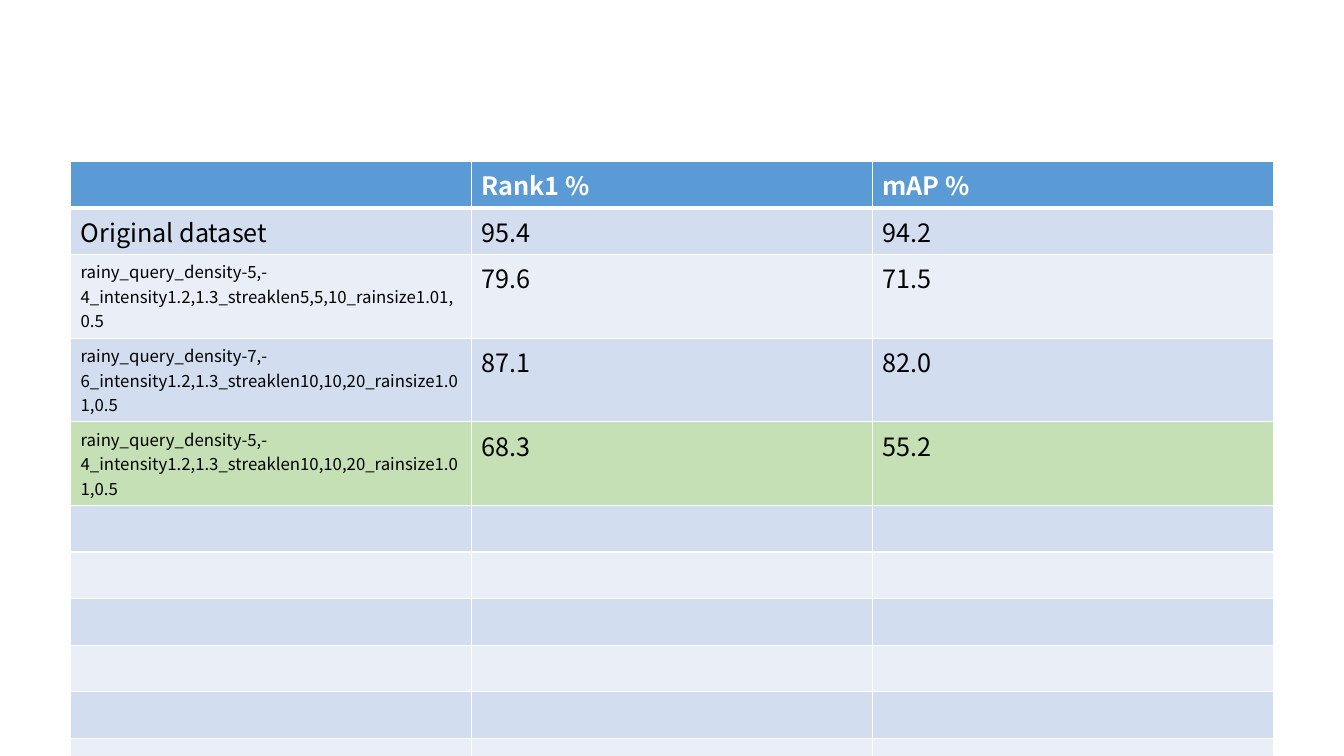
import pptx
import pptx.util
import pptx.dml.color
import pptx.oxml
import pptx.oxml.ns
import lxml.etree as etree
from dataclasses import dataclass

HEAD = ("", "Rank1 %", "mAP %")
BASE = ("Original dataset", "95.4", "94.2")
RUNS = [
    ("rainy_query_density-5,-4_intensity1.2,1.3_streaklen5,5,10_rainsize1.01,0.5", "79.6", "71.5"),
    ("rainy_query_density-7,-6_intensity1.2,1.3_streaklen10,10,20_rainsize1.01,0.5", "87.1", "82.0"),
    ("rainy_query_density-5,-4_intensity1.2,1.3_streaklen10,10,20_rainsize1.01,0.5", "68.3", "55.2"),
]
SPARE = 6
ROWS = [HEAD, BASE, *RUNS, *[("", "", "")] * SPARE]
MARKED = 4


@dataclass(frozen=True)
class Theme:
    font: str = "Noto Sans CJK SC"
    size: int = 18
    small: int = 12
    white: str = "FFFFFF"
    ink: str = "000000"
    head: str = "5B9BD5"
    bands: tuple = ("EAEFF7", "D2DEEF")
    mark: str = "C5E0B4"
    thin: int = 1
    thick: int = 3


THEME = Theme()
WIDE, HIGH = 13.33, 7.5
LEFT, TOP, SPAN = 0.7, 1.6, 11.93
LINE, TALL, LAST = 0.46, 0.83, 0.51
inch = pptx.util.Inches
qn = pptx.oxml.ns.qn


def rgb(tone):
    return pptx.dml.color.RGBColor.from_string(tone)


def tone(row):
    if row == 0:
        return THEME.head
    return THEME.mark if row == MARKED else THEME.bands[row % 2]


def depth(row):
    if row == len(ROWS) - 1:
        return LAST
    return TALL if ROWS[row] in RUNS else LINE


def edge(cell, row):
    """Rule the cell on four sides, with a heavy line under the header."""
    props = cell._tc.get_or_add_tcPr()
    for side in "LRTB":
        heavy = (row, side) in ((0, "B"), (1, "T"))
        width = pptx.util.Pt(THEME.thick if heavy else THEME.thin)
        line = etree.SubElement(props, qn(f"a:ln{side}"), w=str(int(width)))
        fill = etree.SubElement(line, qn("a:solidFill"))
        etree.SubElement(fill, qn("a:srgbClr"), val=THEME.white)


def write(cell, text, row, col):
    para = cell.text_frame.paragraphs[0]
    if not text:
        end = etree.SubElement(para._p, qn("a:endParaRPr"), sz=str(THEME.size * 100))
        etree.SubElement(end, qn("a:latin"), typeface=THEME.font)
        return
    run = para.add_run()
    run.text = text
    small = col == 0 and ROWS[row] in RUNS
    look = {
        "name": THEME.font,
        "size": pptx.util.Pt(THEME.small if small else THEME.size),
        "bold": row == 0,
    }
    for key, value in look.items():
        setattr(run.font, key, value)
    run.font.color.rgb = rgb(THEME.ink if row else THEME.white)


def main():
    deck = pptx.Presentation()
    deck.slide_width, deck.slide_height = inch(WIDE), inch(HIGH)
    slide = deck.slides.add_slide(deck.slide_layouts[6])
    high = sum(depth(row) for row in range(len(ROWS)))
    frame = slide.shapes.add_table(
        len(ROWS), len(HEAD), inch(LEFT), inch(TOP), inch(SPAN), inch(high))
    table = frame.table
    table.first_row = table.horz_banding = False
    for row, texts in enumerate(ROWS):
        table.rows[row].height = inch(depth(row))
        for col, text in enumerate(texts):
            cell = table.cell(row, col)
            edge(cell, row)
            cell.fill.solid()
            cell.fill.fore_color.rgb = rgb(tone(row))
            write(cell, text, row, col)
    deck.save("out.pptx")


if __name__ == "__main__":
    main()
